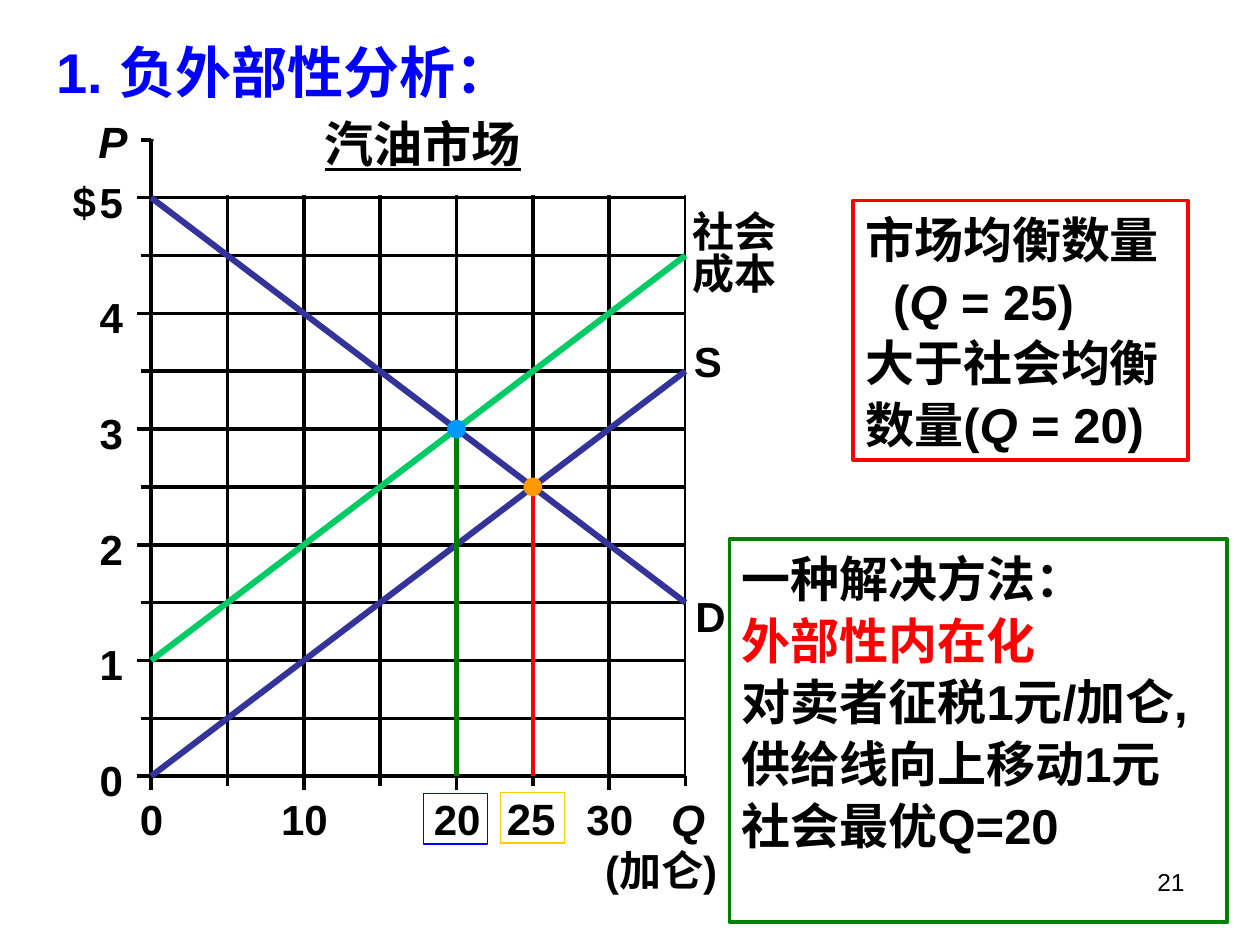
from typing import NamedTuple, Optional

from lxml.etree import SubElement
from pptx import Presentation
from pptx.dml.color import RGBColor
from pptx.enum.shapes import MSO_CONNECTOR, MSO_SHAPE
from pptx.enum.text import MSO_ANCHOR, PP_ALIGN
from pptx.oxml.ns import qn
from pptx.util import Inches, Pt

COLORS = {
    "black": "000000", "white": "FFFFFF", "title": "0000FF", "social": "00CC66",
    "curve": "333399", "green": "008000", "red": "FF0000", "optimum": "0099FF",
    "market": "FF9900", "yellow": "FFCC00",
}

# Plot grid: a column is 5 units of quantity, a row is half a dollar
LEFT, BOTTOM = 1.2, 6.16
COLUMNS, ROWS = 7, 11
COLUMN, ROW = 4.24 / COLUMNS, 5.05 / ROWS


class Point(NamedTuple):
    column: float
    row: float


class Box(NamedTuple):
    left: float
    top: float
    width: float
    height: float


class Run(NamedTuple):
    text: str
    italic: bool = False
    color: str = "black"


class Paragraph(NamedTuple):
    runs: list[Run]
    size: float = 24
    align: PP_ALIGN = PP_ALIGN.LEFT
    spacing: Optional[float] = None
    indent: float = 0
    underline: bool = False
    bold: bool = True


class Curve(NamedTuple):
    start: Point
    end: Point
    color: str


class Equilibrium(NamedTuple):
    point: Point
    drop_color: str
    dot_color: str
    frame: Box
    frame_color: str


def rgb(name: str) -> RGBColor:
    return RGBColor.from_string(COLORS[name])


def inches(box: Box) -> list[int]:
    return [Inches(value) for value in box]


def plot_x(column: float) -> float:
    return LEFT + column * COLUMN


def plot_y(row: float) -> float:
    return BOTTOM - row * ROW


def draw_line(slide, start: Point, end: Point, color: str = "black", width: float = 0) -> None:
    line = slide.shapes.add_connector(
        MSO_CONNECTOR.STRAIGHT,
        Inches(plot_x(start.column)), Inches(plot_y(start.row)),
        Inches(plot_x(end.column)), Inches(plot_y(end.row)))
    line.line.color.rgb = rgb(color)
    line.line.width = Pt(width)
    SubElement(line._element.spPr, qn("a:effectLst"))


def draw_shape(slide, box: Box, kind=MSO_SHAPE.RECTANGLE, fill: str = "",
               line: str = "", width: float = 1):
    shape = slide.shapes.add_shape(kind, *inches(box))
    shape.shadow.inherit = False
    if fill:
        shape.fill.solid()
        shape.fill.fore_color.rgb = rgb(fill)
    else:
        shape.fill.background()
    if line:
        shape.line.color.rgb = rgb(line)
        shape.line.width = Pt(width)
    else:
        shape.line.fill.background()
    return shape


def write(shape, paragraphs: list[Paragraph], margin: bool = True, wrap: bool = True) -> None:
    frame = shape.text_frame
    frame.word_wrap = wrap
    frame.vertical_anchor = MSO_ANCHOR.TOP
    if not margin:
        frame.margin_left = frame.margin_right = frame.margin_top = frame.margin_bottom = 0
    for index, content in enumerate(paragraphs):
        paragraph = frame.add_paragraph() if index else frame.paragraphs[0]
        paragraph.alignment = content.align
        if content.spacing:
            paragraph.line_spacing = content.spacing
        if content.indent:
            paragraph._p.get_or_add_pPr().set("marL", str(Inches(content.indent)))
        font = paragraph.font
        font.name, font.size, font.bold = "Arial", Pt(content.size), content.bold
        if content.underline:
            font.underline = True
        for part in content.runs:
            run = paragraph.add_run()
            run.text = part.text
            run.font.color.rgb = rgb(part.color)
            if part.italic:
                run.font.italic = True


def add_text(slide, box: Box, *paragraphs: Paragraph, margin: bool = True,
             wrap: bool = True) -> None:
    write(slide.shapes.add_textbox(*inches(box)), list(paragraphs), margin, wrap)


def add_label(slide, left: float, top: float, text: str) -> None:
    add_text(slide, Box(left, top, 0.19 * len(text), 0.4), Paragraph([Run(text)]),
             margin=False, wrap=False)


def draw_axes(slide) -> None:
    # Grid
    for row in range(1, ROWS):
        draw_line(slide, Point(0, row), Point(COLUMNS, row))
    for column in range(1, COLUMNS):
        draw_line(slide, Point(column, 0), Point(column, ROWS))
    draw_shape(slide, Box(LEFT, plot_y(ROWS), COLUMNS * COLUMN, ROWS * ROW), line="black")

    # Axes, with longer ticks at every second step
    draw_line(slide, Point(0, 0), Point(0, ROWS), width=2)
    draw_line(slide, Point(0, 0), Point(COLUMNS, 0), width=2)
    for row in range(ROWS + 1):
        length = 0.08 if row % 2 else 0.11
        draw_line(slide, Point(-length / COLUMN, row), Point(0, row), width=2)
    for column in range(COLUMNS + 1):
        length = 0.08 if column % 2 else 0.11
        draw_line(slide, Point(column, -length / ROW), Point(column, 0), width=2)

    # Scale labels
    for price in range(6):
        add_label(slide, 0.79, plot_y(2 * price) - 0.17, str(price))
    for quantity in (0, 10, 20, 30):
        text = str(quantity)
        add_label(slide, plot_x(quantity / 5) - 0.09 * len(text), 6.3, text)

    # Axis names
    right = PP_ALIGN.RIGHT
    add_text(slide, Box(4.15, 6.24, 1.64, 0.92),
             Paragraph([Run("Q ", italic=True)], 25, right),
             Paragraph([Run("(加仑)")], align=right))
    add_text(slide, Box(0.65, 0.86, 0.46, 0.52),
             Paragraph([Run("P", italic=True)], 25, right))
    add_text(slide, Box(0.46, 1.34, 0.4, 0.5), Paragraph([Run("$")], align=right))


def main() -> None:
    presentation = Presentation()
    presentation.slide_width, presentation.slide_height = Inches(10), Inches(7.5)
    slide = presentation.slides.add_slide(presentation.slide_layouts[5])

    # Title
    title = slide.shapes.title
    title.left, title.top, title.width, title.height = inches(Box(0.35, 0.21, 4.75, 0.71))
    write(title, [Paragraph([Run("1. 负外部性分析：", color="title")], 32)])
    title.text_frame.vertical_anchor = MSO_ANCHOR.MIDDLE

    add_text(slide, Box(7.17, 6.83, 2.33, 0.52),
             Paragraph([Run("21")], 14, PP_ALIGN.RIGHT, bold=False))

    # Chart and its caption
    draw_axes(slide)
    caption = draw_shape(slide, Box(1.22, 0.85, 4.27, 0.7), fill="white")
    write(caption, [Paragraph([Run("汽油市场")], 28, PP_ALIGN.CENTER, underline=True)])

    # Curves and their names
    for curve in (Curve(Point(0, 2), Point(7, 9), "social"),
                  Curve(Point(0, 0), Point(7, 7), "curve"),
                  Curve(Point(0, 10), Point(7, 3), "curve")):
        draw_line(slide, curve.start, curve.end, curve.color, 3.5)
    for box, name, spacing in ((Box(5.42, 4.64, 0.45, 0.5), "D", None),
                               (Box(5.41, 2.61, 0.43, 0.5), "S", None),
                               (Box(5.4, 1.64, 0.91, 0.78), "社会成本", 0.85)):
        add_text(slide, box, Paragraph([Run(name)], spacing=spacing))

    # Social optimum and market equilibrium
    add_text(slide, Box(3.9, 6.28, 0.63, 0.42),
             Paragraph([Run("25")], 25, PP_ALIGN.CENTER), margin=False)
    for mark in (
            Equilibrium(Point(4, 6), "green", "optimum", Box(3.36, 6.3, 0.51, 0.4), "title"),
            Equilibrium(Point(5, 5), "red", "market", Box(3.97, 6.29, 0.51, 0.4), "yellow")):
        draw_line(slide, Point(mark.point.column, 0), mark.point, mark.drop_color, 2.5)
        dot = Box(plot_x(mark.point.column) - 0.075, plot_y(mark.point.row) - 0.075, 0.15, 0.15)
        draw_shape(slide, dot, MSO_SHAPE.OVAL, fill=mark.dot_color)
        draw_shape(slide, mark.frame, line=mark.frame_color, width=0.75)

    # Comments
    comparison = [
        Paragraph([Run("市场均衡数量")], 28, spacing=1.05),
        Paragraph([Run("("), Run("Q", italic=True), Run(" = 25)")], 28, spacing=1.05, indent=0.22),
        Paragraph([Run("大于社会均衡数量("), Run("Q", italic=True), Run(" = 20)")], 28, spacing=1.05),
    ]
    solution = [Paragraph([Run(text, color=color)], 28, spacing=1.05) for text, color in (
        ("一种解决方法：", "black"), ("外部性内在化", "red"),
        ("对卖者征税1元/加仑,供给线向上移动1元", "black"), ("社会最优Q=20", "black"))]
    for box, color, paragraphs in ((Box(6.77, 1.59, 2.66, 2.06), "red", comparison),
                                   (Box(5.79, 4.28, 3.95, 3.04), "green", solution)):
        write(draw_shape(slide, box, line=color, width=2), paragraphs)

    presentation.save("out.pptx")


if __name__ == "__main__":
    main()
